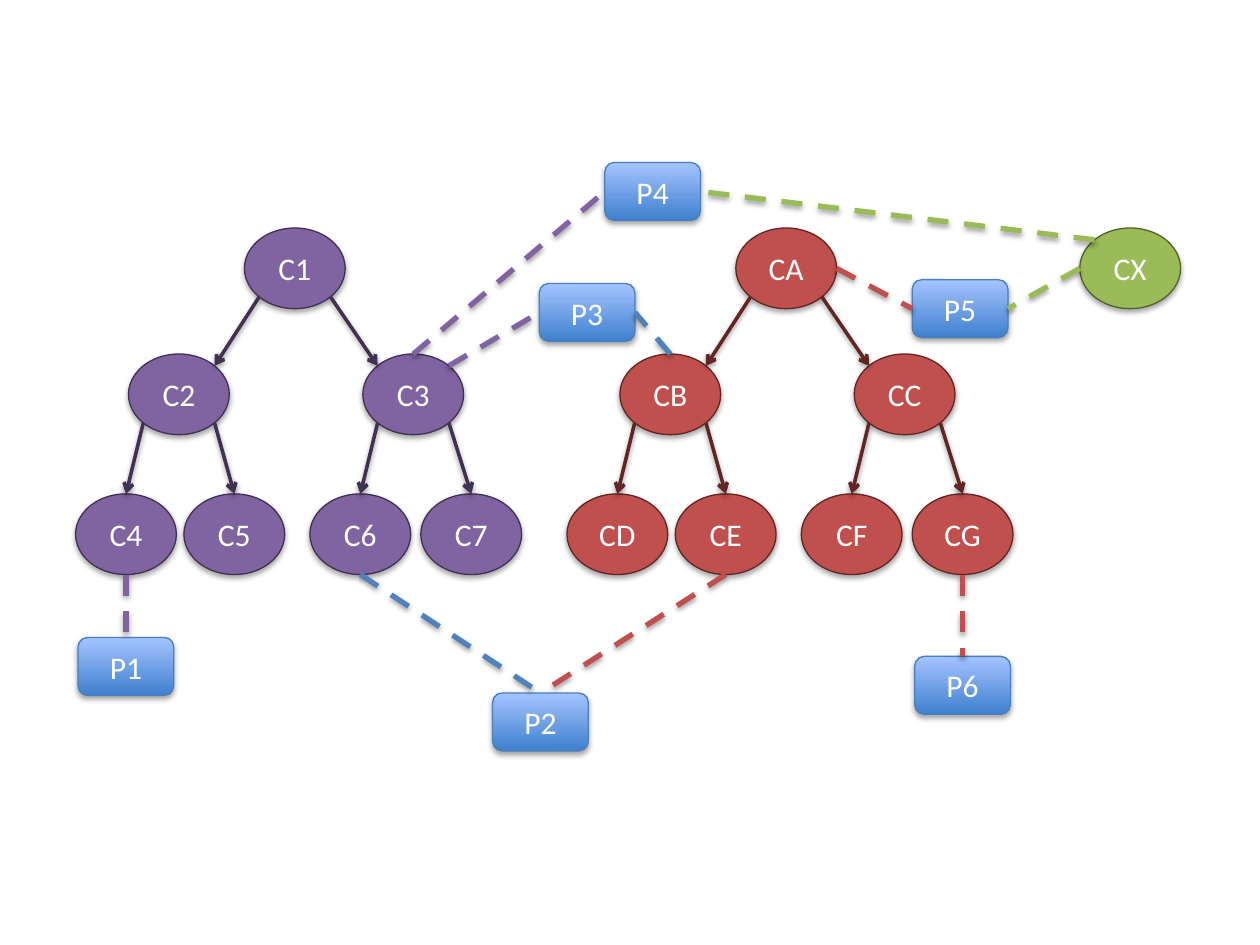
import math
from dataclasses import dataclass
from typing import NamedTuple

import pptx
import pptx.dml.color
import pptx.enum.dml
import pptx.enum.shapes
import pptx.oxml
import pptx.oxml.ns
import pptx.util
from pptx.util import Inches


@dataclass(frozen=True)
class Theme:
    purple: str = "8064A2"
    purple_dark: str = "403152"
    red: str = "C0504D"
    red_dark: str = "632523"
    green: str = "9BBB59"
    green_dark: str = "4F6228"
    blue: str = "4F81BD"
    box_bottom: str = "3F80CE"
    box_top: str = "A4C4FF"
    box_line: str = "4B7EBC"
    text: str = "FFFFFF"
    font: str = "Calibri"
    text_size: float = 18
    outline: float = 0.75
    arrow: float = 2
    dash: float = 3


class Tree(NamedTuple):
    left: float
    labels: list[str]  # root, then each level from left to right
    fill: str
    line: str


class Box(NamedTuple):
    label: str
    left: float
    top: float


class Link(NamedTuple):
    node: str
    node_site: str
    box: str
    box_site: int
    color: str


THEME = Theme()
NODE_WIDTH, NODE_HEIGHT = 0.8, 0.64
BOX_WIDTH, BOX_HEIGHT = 0.76, 0.46
ROOT_TOP = 1.81
TOP, LEFT, BOTTOM, RIGHT = range(4)

# Left and top of each tree node, relative to the tree's left and the root's top
NODE_OFFSETS = [(1.34, 0), (0.42, 1), (2.28, 1),
                (0, 2.11), (0.86, 2.11), (1.86, 2.11), (2.74, 2.11)]

DIAGONAL = math.sqrt(0.5)
NODE_SITES = {
    "top": (0, -1), "bottom": (0, 1), "left": (-1, 0), "right": (1, 0),
    "top left": (-DIAGONAL, -DIAGONAL), "top right": (DIAGONAL, -DIAGONAL),
    "bottom left": (-DIAGONAL, DIAGONAL), "bottom right": (DIAGONAL, DIAGONAL),
}

TREES = [
    Tree(0.6, ["C1", "C2", "C3", "C4", "C5", "C6", "C7"], THEME.purple, THEME.purple_dark),
    Tree(4.5, ["CA", "CB", "CC", "CD", "CE", "CF", "CG"], THEME.red, THEME.red_dark),
]
BOXES = [
    Box("P1", 0.62, 5.06), Box("P2", 3.91, 5.5), Box("P3", 4.28, 2.25),
    Box("P4", 4.8, 1.29), Box("P5", 7.24, 2.22), Box("P6", 7.26, 5.21),
]
LINKS = [
    Link("C4", "bottom", "P1", TOP, THEME.purple),
    Link("C6", "bottom", "P2", TOP, THEME.blue),
    Link("CE", "bottom", "P2", TOP, THEME.red),
    Link("C3", "top right", "P3", LEFT, THEME.purple),
    Link("CB", "top", "P3", RIGHT, THEME.blue),
    Link("C3", "top", "P4", LEFT, THEME.purple),
    Link("CX", "top left", "P4", RIGHT, THEME.green),
    Link("CA", "right", "P5", LEFT, THEME.red),
    Link("CX", "left", "P5", RIGHT, THEME.green),
    Link("CG", "bottom", "P6", TOP, THEME.red),
]


def rgb(color: str) -> pptx.dml.color.RGBColor:
    return pptx.dml.color.RGBColor.from_string(color)


def add_shadow(shape, distance: float, opacity: int) -> None:
    """Give the shape a soft shadow that falls straight down."""
    properties = shape._element.spPr
    for old in properties.findall(pptx.oxml.ns.qn("a:effectLst")):
        properties.remove(old)
    properties.append(pptx.oxml.parse_xml(
        f'<a:effectLst {pptx.oxml.ns.nsdecls("a")}>'
        f'<a:outerShdw blurRad="{pptx.util.Pt(3.1)}" dist="{pptx.util.Pt(distance)}" '
        f'dir="5400000" rotWithShape="0"><a:srgbClr val="000000">'
        f'<a:alpha val="{opacity * 1000}"/></a:srgbClr></a:outerShdw></a:effectLst>'))


def finish_shape(shape, label: str, line: str) -> None:
    """Set the outline, shadow and label that nodes and boxes share."""
    shape.line.color.rgb = rgb(line)
    shape.line.width = pptx.util.Pt(THEME.outline)
    shape.shadow.inherit = False
    add_shadow(shape, 1.8, 35)
    para = shape.text_frame.paragraphs[0]
    para.text = label
    para.font.name = THEME.font
    para.font.size = pptx.util.Pt(THEME.text_size)
    para.font.color.rgb = rgb(THEME.text)


def add_node(shapes, label: str, left: float, top: float, fill: str, line: str):
    node = shapes.add_shape(pptx.enum.shapes.MSO_SHAPE.OVAL, Inches(left), Inches(top),
                            Inches(NODE_WIDTH), Inches(NODE_HEIGHT))
    node.fill.solid()
    node.fill.fore_color.rgb = rgb(fill)
    finish_shape(node, label, line)
    return node


def add_box(shapes, box: Box):
    shape = shapes.add_shape(pptx.enum.shapes.MSO_SHAPE.ROUNDED_RECTANGLE, Inches(box.left),
                             Inches(box.top), Inches(BOX_WIDTH), Inches(BOX_HEIGHT))
    shape.fill.gradient()
    shape.fill.gradient_angle = 90
    for stop, color in zip(shape.fill.gradient_stops, (THEME.box_bottom, THEME.box_top)):
        stop.color.rgb = rgb(color)
    finish_shape(shape, box.label, THEME.box_line)
    return shape


def site_point(node, site: str) -> tuple[int, int]:
    across, down = NODE_SITES[site]
    return (round(node.left + node.width * (1 + across) / 2),
            round(node.top + node.height * (1 + down) / 2))


def add_line(shapes, start: tuple[int, int], end: tuple[int, int], color: str, width: float):
    line = shapes.add_connector(pptx.enum.shapes.MSO_CONNECTOR.STRAIGHT, *start, *end)
    line.line.color.rgb = rgb(color)
    line.line.width = pptx.util.Pt(width)
    add_shadow(line, 1.6, 38)
    return line


def add_arrow(shapes, parent, parent_site: str, child, child_site: str, color: str) -> None:
    arrow = add_line(shapes, site_point(parent, parent_site), site_point(child, child_site),
                     color, THEME.arrow)
    arrow.line._get_or_add_ln().append(pptx.oxml.parse_xml(
        f'<a:tailEnd {pptx.oxml.ns.nsdecls("a")} type="arrow"/>'))


def add_tree(page, tree: Tree) -> dict:
    """Draw a three-level binary tree as one group and return its nodes by label."""
    shapes = page.shapes.add_group_shape().shapes
    nodes = [add_node(shapes, label, tree.left + across, ROOT_TOP + down, tree.fill, tree.line)
             for label, (across, down) in zip(tree.labels, NODE_OFFSETS)]
    for index, child in enumerate(nodes[1:], start=1):
        parent = nodes[(index - 1) // 2]
        side, opposite = ("left", "right") if index % 2 else ("right", "left")
        child_site = f"top {opposite}" if parent is nodes[0] else "top"
        add_arrow(shapes, parent, f"bottom {side}", child, child_site, tree.line)
    return dict(zip(tree.labels, nodes))


def add_link(page, link: Link, nodes: dict, boxes: dict) -> None:
    start = site_point(nodes[link.node], link.node_site)
    line = add_line(page.shapes, start, start, link.color, THEME.dash)
    line.line.dash_style = pptx.enum.dml.MSO_LINE.DASH
    line.end_connect(boxes[link.box], link.box_site)


def main() -> None:
    deck = pptx.Presentation()
    deck.slide_width, deck.slide_height = Inches(10), Inches(7.5)
    page = deck.slides.add_slide(deck.slide_layouts[6])
    nodes = {}
    for tree in TREES:
        nodes.update(add_tree(page, tree))
    nodes["CX"] = add_node(page.shapes, "CX", 8.57, ROOT_TOP, THEME.green, THEME.green_dark)
    boxes = {box.label: add_box(page.shapes, box) for box in BOXES}
    for link in LINKS:
        add_link(page, link, nodes, boxes)
    deck.save("out.pptx")


if __name__ == "__main__":
    main()
